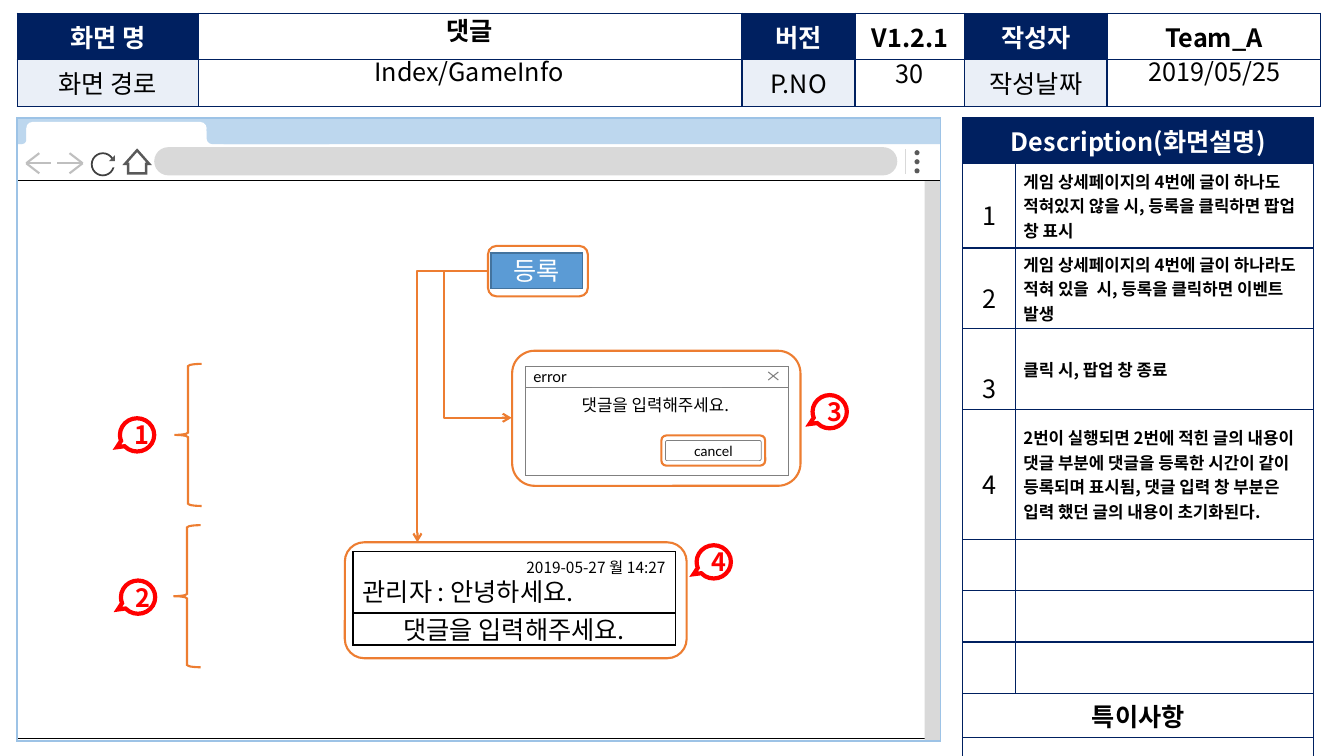
from dataclasses import dataclass
from typing import Optional

from lxml.etree import SubElement
from pptx import Presentation
from pptx.dml.color import RGBColor
from pptx.enum.shapes import MSO_CONNECTOR, MSO_SHAPE
from pptx.enum.text import MSO_ANCHOR, MSO_AUTO_SIZE, PP_ALIGN
from pptx.oxml import parse_xml
from pptx.oxml.ns import nsdecls, qn
from pptx.util import Inches, Pt

WHITE, BLACK = RGBColor(255, 255, 255), RGBColor(0, 0, 0)
NAVY, PALE = RGBColor(0, 0x20, 0x60), RGBColor(0xEA, 0xEF, 0xF7)
SKY, FRAME = RGBColor(0xBD, 0xD7, 0xEE), RGBColor(0x9D, 0xC3, 0xE6)
LIGHT, SILVER = RGBColor(0xD9, 0xD9, 0xD9), RGBColor(0xBF, 0xBF, 0xBF)
GRAY, DARK, INK = RGBColor(0x80, 0x80, 0x80), RGBColor(0x59, 0x59, 0x59), RGBColor(0x40, 0x40, 0x40)
ORANGE, RED = RGBColor(0xED, 0x7D, 0x31), RGBColor(255, 0, 0)
BLUE, EDGE = RGBColor(0x5B, 0x9B, 0xD5), RGBColor(0x43, 0x73, 0x9E)
NOTO, LATO = "Noto Sans CJK KR", "Lato"
RECT, ROUND, OVAL = MSO_SHAPE.RECTANGLE, MSO_SHAPE.ROUNDED_RECTANGLE, MSO_SHAPE.OVAL
LEFT, MID, RIGHT = PP_ALIGN.LEFT, PP_ALIGN.CENTER, PP_ALIGN.RIGHT


@dataclass
class Line:
    text: str
    size: float = 18
    color: RGBColor = BLACK
    bold: bool = False
    align: PP_ALIGN = MID
    font: str = NOTO
    space: Optional[float] = None


@dataclass
class Box:
    x: float
    y: float
    w: float
    h: float
    kind: MSO_SHAPE = RECT
    fill: Optional[RGBColor] = None
    edge: Optional[RGBColor] = None
    width: float = 1.5
    adj: tuple = ()
    lines: tuple = ()
    turn: float = 0


@dataclass
class Stroke:
    x1: float
    y1: float
    x2: float
    y2: float
    color: RGBColor = SILVER
    width: float = 1.5


def write(frame, lines) -> None:
    for i, line in enumerate(lines):
        para = frame.add_paragraph() if i else frame.paragraphs[0]
        para.alignment = line.align
        if line.space:
            para.line_spacing = line.space
        run = para.add_run()
        run.text = line.text
        font = run.font
        font.size, font.bold, font.name = Pt(line.size), line.bold, line.font
        font.color.rgb = line.color
        SubElement(run._r.get_or_add_rPr(), qn("a:ea")).set("typeface", line.font)


def place(shape, x: float, y: float, w: float, h: float) -> None:
    shape.left, shape.top, shape.width, shape.height = map(Inches, (x, y, w, h))


def style(shape, fill, edge, width: float) -> None:
    shape.shadow.inherit = False
    if fill is None:
        shape.fill.background()
    else:
        shape.fill.solid()
        shape.fill.fore_color.rgb = fill
    if edge is None:
        shape.line.fill.background()
    else:
        shape.line.color.rgb, shape.line.width = edge, Pt(width)
        # Sharp corners
        SubElement(shape._element.spPr.find(qn("a:ln")), qn("a:miter")).set("lim", "800000")


def draw(shapes, box: Box):
    shape = shapes.add_shape(box.kind, *map(Inches, (box.x, box.y, box.w, box.h)))
    style(shape, box.fill, box.edge, box.width)
    shape.rotation = box.turn
    for i, value in enumerate(box.adj):
        shape.adjustments[i] = value
    write(shape.text_frame, box.lines)
    return shape


def stroke(shapes, s: Stroke, kind=MSO_CONNECTOR.STRAIGHT):
    link = shapes.add_connector(kind, *map(Inches, (s.x1, s.y1, s.x2, s.y2)))
    link.line.color.rgb, link.line.width = s.color, Pt(s.width)
    SubElement(link._element.spPr, qn("a:effectLst"))
    return link


def bend(shapes, s: Stroke, turn: int, flip: str) -> None:
    """Draw a one-corner arrow inside the box that the stroke spans."""
    props = stroke(shapes, s, MSO_CONNECTOR.ELBOW)._element.spPr
    props.find(qn("a:prstGeom")).set("prst", "bentConnector2")
    frame = props.find(qn("a:xfrm"))
    frame.set("rot", str(turn * 60000))
    frame.set(flip, "1")
    SubElement(props.find(qn("a:ln")), qn("a:tailEnd")).set("type", "arrow")


def label(shapes, x: float, y: float, w: float, h: float, line: Line, anchor=MSO_ANCHOR.TOP):
    text = shapes.add_textbox(*map(Inches, (x, y, w, h))).text_frame
    text.word_wrap, text.vertical_anchor = True, anchor
    write(text, [line])


def grid(shapes, x: float, y: float, cols, rows):
    table = shapes.add_table(len(rows), len(cols), *map(Inches, (x, y, sum(cols), sum(rows)))).table
    table.first_row = table.horz_banding = False
    for col, w in zip(table.columns, cols):
        col.width = Inches(w)
    for row, h in zip(table.rows, rows):
        row.height = Inches(h)
    for cell in table.iter_cells():
        cell.fill.background()
        for i, side in enumerate("LRTB"):
            cell._tc.get_or_add_tcPr().insert(i, parse_xml(
                f'<a:ln{side} {nsdecls("a")} w="12700"><a:solidFill><a:srgbClr val="{NAVY}"/>'
                f'</a:solidFill></a:ln{side}>'))
    return table


# Browser window
CHROME = [
    Box(0.17, 1.78, 9.16, 5.55, fill=WHITE, edge=BLACK, width=0.5),
    Box(9.17, 1.79, 0.16, 5.55, fill=LIGHT),
    Box(0.17, 1.42, 9.16, 0.37, fill=WHITE, edge=BLACK, width=0.5),
    Box(1.53, 1.46, 7.37, 0.28, ROUND, LIGHT, adj=(0.5,)),
    *(Box(9.07, 1.49 + 0.09 * i, 0.05, 0.05, OVAL, DARK) for i in range(3)),
    Box(0.17, 1.17, 9.16, 0.26, fill=SKY),
    Box(0.91, 1.52, 0.22, 0.22, OVAL, edge=INK, width=1.25),
    Box(1.09, 1.58, 0.08, 0.08, fill=WHITE),
    Box(1.08, 1.54, 0.06, 0.06, MSO_SHAPE.ISOSCELES_TRIANGLE, DARK, adj=(1,)),
    Box(1.24, 1.49, 0.24, 0.23, MSO_SHAPE.DOWN_ARROW, WHITE, DARK, 1.75, (0.75, 0.59), turn=180),
    Box(0.26, 1.21, 1.79, 0.23, ROUND, WHITE, adj=(0.28,)),
    Box(1.88, 1.3, 0.34, 0.15, ROUND, WHITE),
    Box(2.05, 1.23, 1.27, 0.2, ROUND, SKY, adj=(0.28,)),
    Box(0.21, 1.3, 0.13, 0.15, ROUND, WHITE),
    Box(0.17, 1.23, 0.09, 0.2, ROUND, SKY, adj=(0.46,)),
    Box(0.17, 1.17, 9.16, 6.18, edge=FRAME, width=1),
]
NAV = [Stroke(8.98, 1.48, 8.98, 1.73, LIGHT, 1)]
for tip, way in ((0.26, 1), (0.82, -1)):
    NAV += [Stroke(tip, 1.62, tip + way * dx, 1.62 + dy)
            for dx, dy in ((0.25, 0), (0.13, -0.1), (0.13, 0.1))]

# Error popup, button, reply box
POPUP = [
    Box(5.21, 3.84, 2.61, 0.88, fill=WHITE, edge=GRAY, width=0.5),
    Box(6.6, 4.37, 0.95, 0.2, ROUND, WHITE, GRAY, 0.5, (0.09,), (Line("cancel", 10, font=LATO),)),
    Box(6.56, 4.32, 1.03, 0.3, ROUND, edge=ORANGE),
]
HINT = "댓글을 입력해주세요."
REPLY = [
    Box(4.87, 2.51, 0.91, 0.35, RECT, BLUE, EDGE, 1, lines=(Line("등록", color=WHITE),)),
    Box(3.5, 5.47, 3.2, 0.61, RECT, WHITE, BLACK, 1, lines=(
        Line("2019-05-27 월 14:27", 11, align=RIGHT), Line("관리자 : 안녕하세요.", align=LEFT))),
    Box(3.5, 6.08, 3.2, 0.32, RECT, WHITE, BLACK, 1, lines=(Line(HINT),)),
    Box(4.84, 2.44, 0.99, 0.5, ROUND, edge=ORANGE),
    Box(3.42, 5.38, 3.39, 1.15, ROUND, edge=ORANGE),
    Box(5.08, 3.48, 2.86, 1.34, ROUND, edge=ORANGE),
]
BRACES = [Box(x, y, 0.27, 1.41, MSO_SHAPE.LEFT_BRACE, edge=ORANGE) for x, y in ((1.73, 3.61), (1.72, 5.21))]
MARKS = [Box(x, y, 0.34, 0.33, MSO_SHAPE.OVAL_CALLOUT, None, RED, 3, (-0.59, 0.37),
             (Line(str(i), color=RED, bold=True),))
         for i, (x, y) in enumerate(((1.19, 4.15), (1.2, 5.76), (8.06, 3.92), (6.91, 5.41)), 1)]

HEAD = [["화면 명", "", "버전", "V1.2.1", "작성자", "Team_A"],
        ["화면 경로", "", "P.NO", "", "작성날짜", ""]]
NOTES = [
    ("게임 상세페이지의 4번에 글이 하나도 적혀있지 않을 시, 등록을 클릭하면 팝업 창 표시", 1.5),
    ("게임 상세페이지의 4번에 글이 하나라도 적혀 있을  시, 등록을 클릭하면 이벤트 발생", 1.5),
    ("클릭 시, 팝업 창 종료", 2.0),
    ("2번이 실행되면 2번에 적힌 글의 내용이 댓글 부분에 댓글을 등록한 시간이 같이 등록되며 "
     "표시됨, 댓글 입력 창 부분은 입력 했던 글의 내용이 초기화된다.", 1.5),
]


def main() -> None:
    deck = Presentation()
    deck.slide_width, deck.slide_height = Inches(13.33), Inches(7.5)
    slide = deck.slides.add_slide(deck.slide_layouts[5])
    shapes = slide.shapes
    for box in CHROME:
        draw(shapes, box)
    for item in NAV:
        stroke(shapes, item)

    # Header table and the texts over it
    head = grid(shapes, 0.17, 0.13, (1.8, 5.39, 1.12, 1.09, 1.41, 2.12), (0.29, 0.29))
    for r, row in enumerate(HEAD):
        for c, text in enumerate(row):
            cell = head.cell(r, c)
            cell.fill.solid()
            cell.fill.fore_color.rgb = WHITE if c % 2 else (NAVY, PALE)[r]
            if text:
                write(cell.text_frame, [Line(text, color=BLACK if r or c % 2 else WHITE, bold=r == 0)])
    title = shapes.title
    place(title, 1.97, 0.14, 5.38, 0.38)
    title.text_frame.vertical_anchor = MSO_ANCHOR.TOP
    title.text_frame.auto_size = MSO_AUTO_SIZE.NONE
    write(title.text_frame, [Line("댓글", bold=True, space=0.9)])
    shapes._spTree.append(title._element)
    label(shapes, 1.96, 0.54, 5.38, 0.38, Line("Index/GameInfo", space=0.9))
    label(shapes, 10.99, 0.54, 2.11, 0.38, Line("2019/05/25", space=0.9))
    label(shapes, 8.48, 0.54, 1.08, 0.38, Line("30"), MSO_ANCHOR.MIDDLE)

    # Description table
    desc = grid(shapes, 9.55, 1.17, (0.52, 2.96),
                (0.45, 0.84, 0.8, 0.8, 1.29, 0.51, 0.51, 0.51, 0.44, 0.42))
    for i, cell in enumerate(desc.iter_cells()):
        cell.margin_left = Inches(0.08)
        cell.margin_right = Inches(0.15 if i % 2 else 0.08)
        cell.margin_top = cell.margin_bottom = Inches(0.04)
    for r in (0, 8, 9):
        desc.cell(r, 0).merge(desc.cell(r, 1))
    top = desc.cell(0, 0)
    top.fill.solid()
    top.fill.fore_color.rgb = NAVY
    write(top.text_frame, [Line("Description(화면설명)", color=WHITE, bold=True)])
    write(desc.cell(8, 0).text_frame, [Line("특이사항", bold=True)])
    for r, (text, space) in enumerate(NOTES, 1):
        pair = Line(str(r), space=space), Line(text, 12, bold=True, align=LEFT)
        for c, line in enumerate(pair):
            desc.cell(r, c).vertical_anchor = MSO_ANCHOR.MIDDLE
            write(desc.cell(r, c).text_frame, [line])

    # Popup and its close mark
    for box in POPUP:
        draw(shapes, box)
    bar = draw(shapes, Box(5.21, 3.63, 2.61, 0.21, RECT, WHITE, GRAY, 0.5,
                           lines=(Line("error", 11, align=LEFT, font=LATO),))).text_frame
    bar.margin_left, bar.margin_right = Inches(0.08), Inches(0.2)
    bar.margin_top = bar.margin_bottom = Inches(0.04)
    x1, x2, y1, y2 = map(Inches, (7.62, 7.72, 3.69, 3.77))
    cross = shapes.build_freeform(x2, y1)
    cross.add_line_segments([(x1, y2)], close=False)
    cross.move_to(x1, y1)
    cross.add_line_segments([(x2, y2)], close=False)
    style(cross.convert_to_shape(), None, GRAY, 0.75)
    label(shapes, 5.67, 3.87, 2.04, 0.3, Line(HINT, 12, align=LEFT))

    # Flow arrows, braces and markers
    bend(shapes, Stroke(4.01, 3.08, 5.47, 3.75, ORANGE), 270, "flipH")
    bend(shapes, Stroke(4.14, 2.69, 4.84, 5.38, ORANGE), 180, "flipV")
    for box in BRACES + REPLY + MARKS:
        draw(shapes, box)
    deck.save("out.pptx")


if __name__ == "__main__":
    main()
